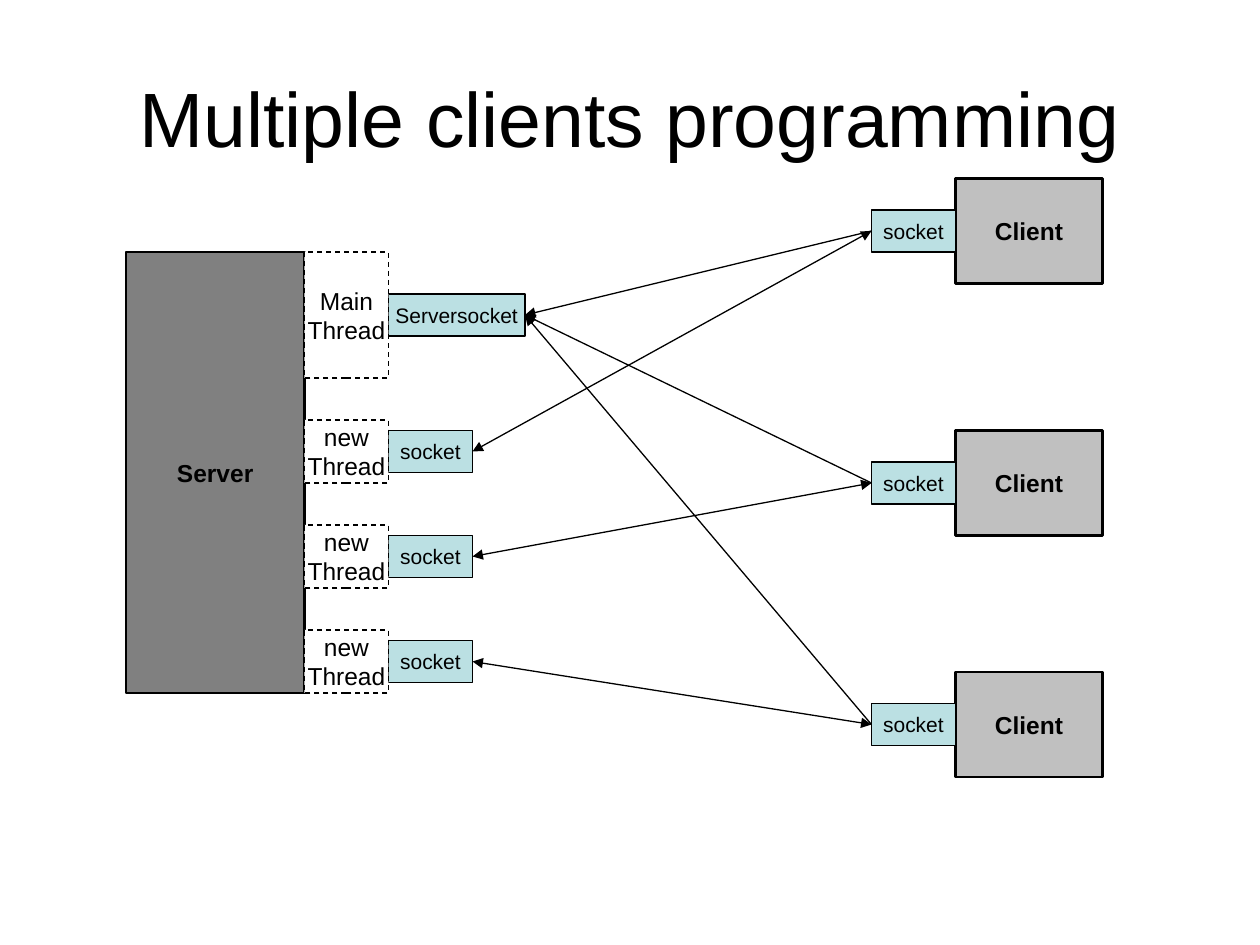
from lxml import etree
from pptx import Presentation
from pptx.dml.color import RGBColor
from pptx.enum.dml import MSO_LINE
from pptx.enum.shapes import MSO_CONNECTOR, MSO_SHAPE
from pptx.enum.text import MSO_ANCHOR, MSO_AUTO_SIZE, PP_ALIGN
from pptx.oxml.ns import qn
from pptx.util import Pt

RECTANGLE = MSO_SHAPE.RECTANGLE
STRAIGHT = MSO_CONNECTOR.STRAIGHT
DASH = MSO_LINE.DASH
CENTER = PP_ALIGN.CENTER
MIDDLE = MSO_ANCHOR.MIDDLE
NO_AUTOFIT = MSO_AUTO_SIZE.NONE
LEFT_SIDE, RIGHT_SIDE = 1, 3

COLORS = {
    "black": "000000",
    "server": "808080",
    "client": "C0C0C0",
    "socket": "BBE0E3",
    "thread": "FFFFFF",
}
FONT = "Arial"

SERVER_LEFT, SERVER_TOP = 72, 144
SERVER_WIDTH, SERVER_HEIGHT = 102, 252
THREAD_LEFT = SERVER_LEFT + SERVER_WIDTH
SOCKET_WIDTH, SOCKET_HEIGHT = 48, 24
THREAD_WIDTH = 48
CLIENT_LEFT, CLIENT_WIDTH, CLIENT_HEIGHT = 546, 84, 60
CLIENT_TOPS = (102, 246, 384)
NEW_THREAD_TOPS = (240, 300, 360)


def color(name):
    return RGBColor.from_string(COLORS[name])


def format_text(text_frame, size, bold=False):
    text_frame.vertical_anchor = MIDDLE
    for paragraph in text_frame.paragraphs:
        paragraph.alignment = CENTER
        paragraph.font.name = FONT
        paragraph.font.size = Pt(size)
        paragraph.font.bold = bold
        paragraph.font.color.rgb = color("black")


def add_title(slide, text):
    title = slide.shapes.title
    title.left, title.top, title.width, title.height = Pt(36), Pt(21.6), Pt(648), Pt(90)
    title.text_frame.text = text
    title.text_frame.auto_size = NO_AUTOFIT
    format_text(title.text_frame, 44)


def add_box(slide, text, left, top, width, height, fill, size=14, bold=False, line_width=0.75):
    box = slide.shapes.add_shape(RECTANGLE, Pt(left), Pt(top), Pt(width), Pt(height))
    box.shadow.inherit = False
    box.fill.solid()
    box.fill.fore_color.rgb = color(fill)
    box.line.color.rgb = color("black")
    box.line.width = Pt(line_width)
    box.text_frame.text = text
    box.text_frame.word_wrap = False
    format_text(box.text_frame, size, bold)
    return box


def add_socket(slide, left, middle, text="socket", width=SOCKET_WIDTH):
    return add_box(slide, text, left, middle - SOCKET_HEIGHT / 2, width, SOCKET_HEIGHT,
                   "socket", size=12)


def add_thread(slide, text, top, height, socket_text="socket", socket_width=SOCKET_WIDTH):
    """Add a dashed thread box with its socket on the right; return the socket."""
    socket = add_socket(slide, THREAD_LEFT + THREAD_WIDTH, top + height / 2,
                        socket_text, socket_width)
    thread = add_box(slide, text, THREAD_LEFT, top, THREAD_WIDTH, height, "thread")
    thread.line.dash_style = DASH
    return socket


def add_client(slide, top):
    """Add a client box with its socket on the left; return the socket."""
    add_box(slide, "Client", CLIENT_LEFT, top, CLIENT_WIDTH, CLIENT_HEIGHT,
            "client", bold=True, line_width=1.5)
    return add_socket(slide, CLIENT_LEFT - SOCKET_WIDTH, top + CLIENT_HEIGHT / 2)


def add_arrow(slide, start, start_side, end, end_side, arrowheads):
    connector = slide.shapes.add_connector(STRAIGHT, 0, 0, 0, 0)
    connector.begin_connect(start, start_side)
    connector.end_connect(end, end_side)
    connector.line.color.rgb = color("black")
    connector.line.width = Pt(0.75)
    line = connector.line._get_or_add_ln()
    for arrowhead in arrowheads:
        etree.SubElement(line, qn(arrowhead), type="triangle")
    etree.SubElement(connector._element.spPr, qn("a:effectLst"))


def main():
    presentation = Presentation()
    presentation.slide_width, presentation.slide_height = Pt(720), Pt(540)
    slide = presentation.slides.add_slide(presentation.slide_layouts[5])

    add_title(slide, "Multiple clients programming")
    add_box(slide, "Server", SERVER_LEFT, SERVER_TOP, SERVER_WIDTH, SERVER_HEIGHT,
            "server", bold=True, line_width=1.5)
    server_socket = add_thread(slide, "Main\nThread", SERVER_TOP, 72, "Serversocket", 78)
    thread_sockets = [add_thread(slide, "new\nThread", top, 36) for top in NEW_THREAD_TOPS]
    client_sockets = [add_client(slide, top) for top in CLIENT_TOPS]

    for thread_socket, client_socket in zip(thread_sockets, client_sockets):
        add_arrow(slide, client_socket, LEFT_SIDE, server_socket, RIGHT_SIDE, ["a:tailEnd"])
        add_arrow(slide, thread_socket, RIGHT_SIDE, client_socket, LEFT_SIDE,
                  ["a:headEnd", "a:tailEnd"])

    presentation.save("out.pptx")


if __name__ == "__main__":
    main()
